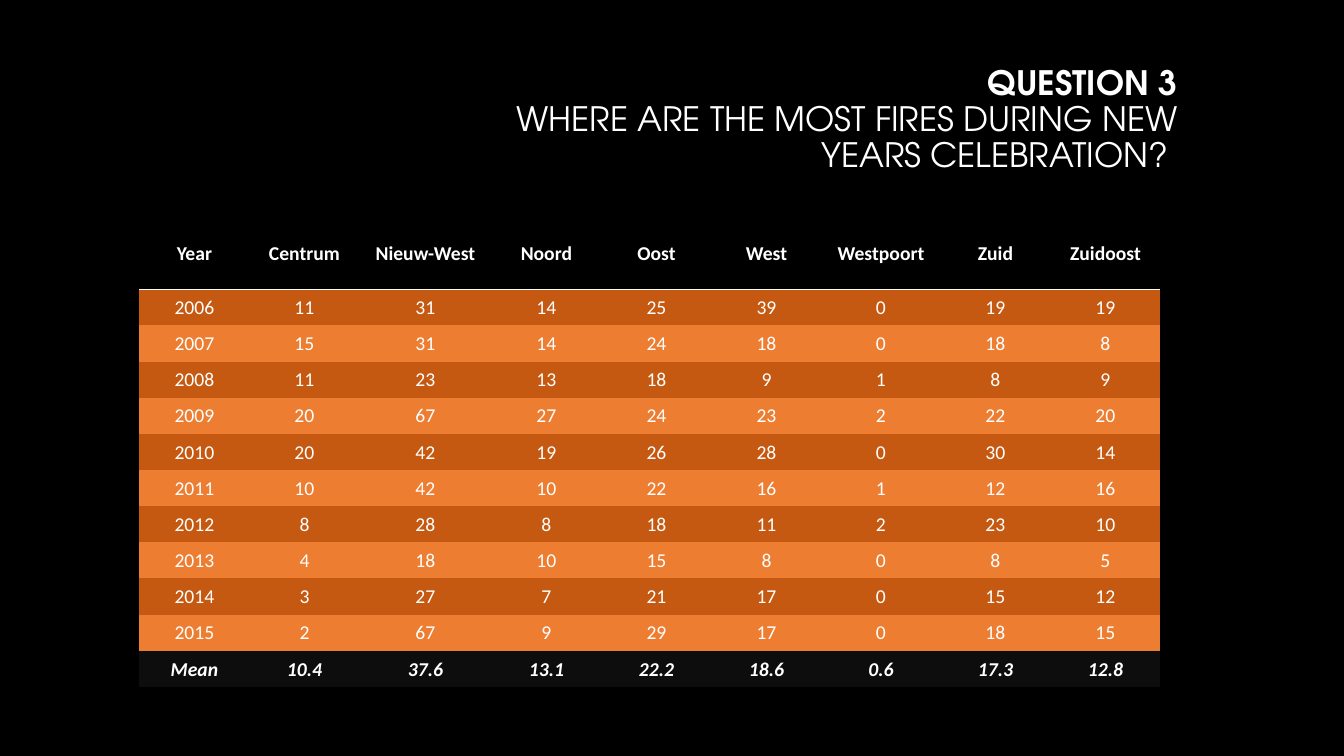
from lxml.etree import SubElement
from pptx import Presentation
from pptx.dml.color import RGBColor
from pptx.enum.text import MSO_ANCHOR, MSO_AUTO_SIZE, PP_ALIGN
from pptx.oxml import parse_xml
from pptx.oxml.ns import nsdecls, qn
from pptx.util import Pt

COLORS = {"back": "000000", "text": "FFFFFF", "dark": "C65911",
          "light": "ED7D31", "mean": "0D0D0D"}
PLAIN = "{2D5ABB26-0587-4C30-8999-92F81FD0307C}"

AREAS = ["Centrum", "Nieuw-West", "Noord", "Oost", "West",
         "Westpoort", "Zuid", "Zuidoost"]
FIRES = {
    2006: [11, 31, 14, 25, 39, 0, 19, 19],
    2007: [15, 31, 14, 24, 18, 0, 18, 8],
    2008: [11, 23, 13, 18, 9, 1, 8, 9],
    2009: [20, 67, 27, 24, 23, 2, 22, 20],
    2010: [20, 42, 19, 26, 28, 0, 30, 14],
    2011: [10, 42, 10, 22, 16, 1, 12, 16],
    2012: [8, 28, 8, 18, 11, 2, 23, 10],
    2013: [4, 18, 10, 15, 8, 0, 8, 5],
    2014: [3, 27, 7, 21, 17, 0, 15, 12],
    2015: [2, 67, 9, 29, 17, 0, 18, 15],
}
WIDTHS = {"Nieuw-West": 94.3, "Westpoort": 85}


class Deck:
    """Holds the style and the current slide, and draws each kind of element."""

    def __init__(self, prs):
        self.head, self.body = "TeX Gyre Adventor", "Calibri"
        self.slide = prs.slides.add_slide(prs.slide_layouts[5])
        self.paint(self.slide.background.fill, "back")

    def paint(self, fill, color):
        fill.solid()
        fill.fore_color.rgb = RGBColor.from_string(COLORS[color])

    def run(self, para, text, font, size, bold=False, italic=False):
        run = para.add_run()
        run.text = text
        run.font.name, run.font.size = font, Pt(size)
        run.font.bold, run.font.italic = bold, italic
        run.font.color.rgb = RGBColor.from_string(COLORS["text"])

    def title(self, left, top, width, height, lead, rest):
        box = self.slide.shapes.title
        box.left, box.top, box.width, box.height = map(Pt, (left, top, width, height))
        frame = box.text_frame
        frame.word_wrap, frame.auto_size = True, MSO_AUTO_SIZE.NONE
        frame.vertical_anchor = MSO_ANCHOR.MIDDLE
        frame.margin_bottom = Pt(29.5)
        para = frame.paragraphs[0]
        para.alignment, para.line_spacing = PP_ALIGN.RIGHT, 0.9
        self.run(para, lead, self.head, 24, bold=True)
        para.add_line_break()
        self.run(para, rest, self.head, 24)

    def cell(self, cell, text, color, bold, italic):
        cell.vertical_anchor = MSO_ANCHOR.MIDDLE
        cell.margin_left = cell.margin_right = cell.margin_top = Pt(0.7)
        cell.margin_bottom = 0
        self.paint(cell.fill, color)
        para = cell.text_frame.paragraphs[0]
        para.alignment = PP_ALIGN.CENTER
        self.run(para, text, self.body, 14, bold, italic)

    def rule(self, cell):
        line = parse_xml(f'<a:lnB {nsdecls("a")} w="{Pt(1)}"/>')
        fill = SubElement(line, qn("a:solidFill"))
        SubElement(fill, qn("a:srgbClr"), val=COLORS["text"])
        cell.fill
        cell._tc.get_or_add_tcPr().insert(0, line)

    def table(self, left, top, widths, heights, rows):
        frame = self.slide.shapes.add_table(
            len(rows), len(widths), Pt(left), Pt(top),
            Pt(sum(widths)), Pt(sum(heights)))
        grid = frame.table
        grid.horz_banding = False
        grid._tbl.tblPr.find(qn("a:tableStyleId")).text = PLAIN
        for col, width in zip(grid.columns, widths):
            col.width = Pt(width)
        last = len(rows) - 1
        for i, (row, height, texts) in enumerate(zip(grid.rows, heights, rows)):
            row.height = Pt(height)
            band = "dark" if i % 2 else "light"
            color = {0: "back", last: "mean"}.get(i, band)
            for cell, text in zip(row.cells, texts):
                self.cell(cell, str(text), color, i in (0, last), i == last)
                if i == 0:
                    self.rule(cell)


def main():
    prs = Presentation()
    prs.slide_width, prs.slide_height = Pt(960), Pt(540)
    deck = Deck(prs)
    deck.title(311.8, 41.8, 536.4, 114.5, "QUESTION 3",
               "WHERE ARE THE MOST FIRES DURING NEW YEARS CELEBRATION? ")
    means = [f"{sum(col) / len(col):.1f}" for col in zip(*FIRES.values())]
    rows = [["Year", *AREAS],
            *([year, *counts] for year, counts in FIRES.items()),
            ["Mean", *means]]
    widths = [WIDTHS.get(name, 78.6) for name in rows[0]]
    heights = [50.8] + [25.85] * (len(rows) - 1)
    deck.table(99.6, 155.8, widths, heights, rows)
    prs.save("out.pptx")


if __name__ == "__main__":
    main()
